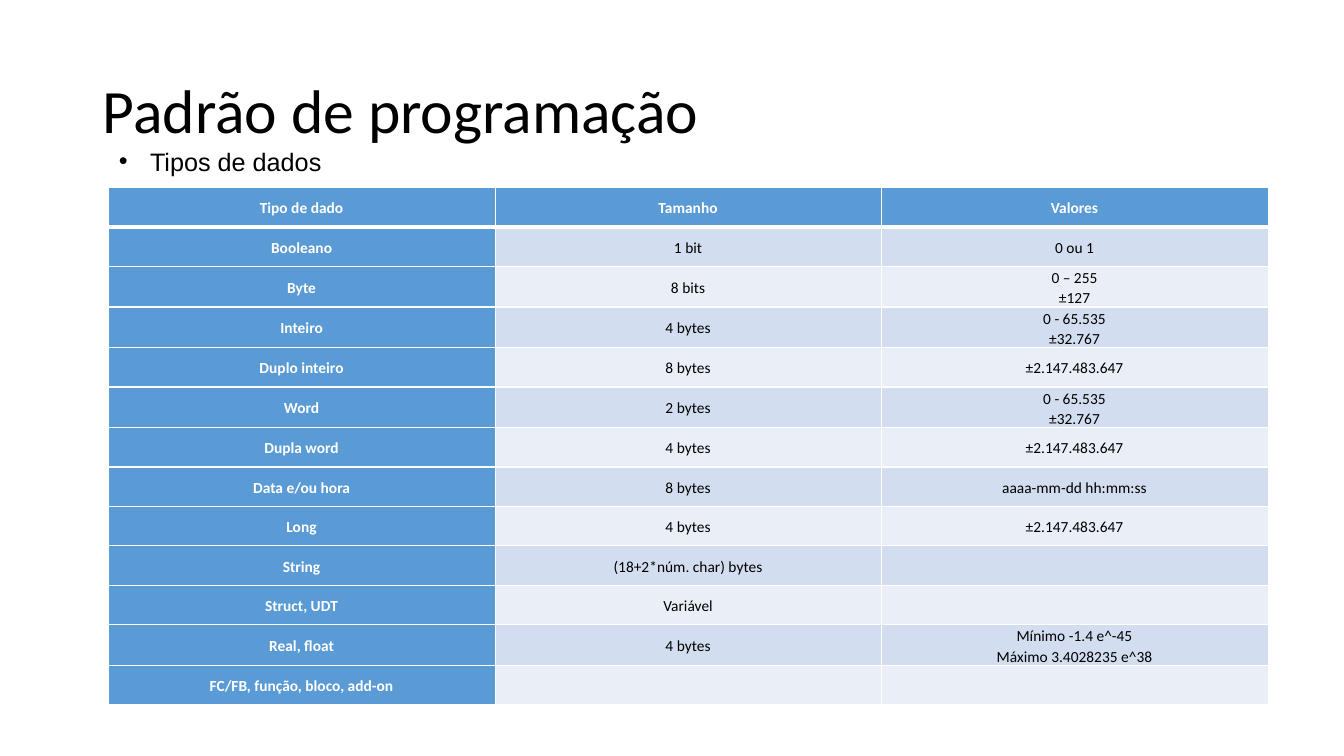
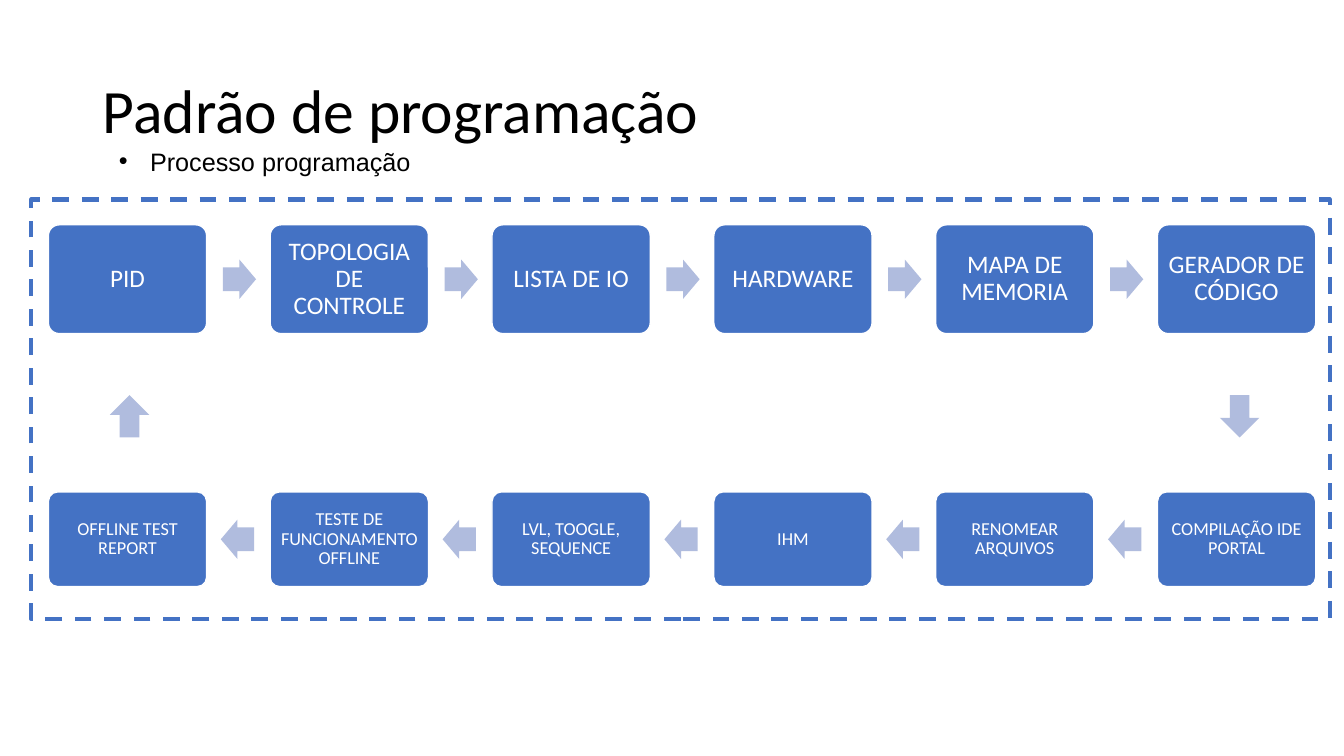
from lxml.etree import SubElement
from pptx import Presentation
from pptx.dml.color import RGBColor
from pptx.enum.dml import MSO_LINE
from pptx.enum.shapes import MSO_SHAPE as SHAPE
from pptx.enum.text import MSO_ANCHOR as ANCHOR, PP_ALIGN as ALIGN
from pptx.oxml.ns import qn
from pptx.util import Inches, Pt

COLORS = {
    "black": "000000", "white": "FFFFFF", "header": "5B9BD5",
    "band_dark": "D2DEEF", "band_light": "EAEFF7",
    "step": "4472C4", "arrow": "B0BCDE",
}
TITLE = "Padrão de programação"
TYPES_TOPIC = "Tipos de dados"
PROCESS_TOPIC = "Processo programação"
DATA_TYPES = [
    ("Tipo de dado", "Tamanho", "Valores"),
    ("Booleano", "1 bit", "0 ou 1"),
    ("Byte", "8 bits", "0 – 255\n±127"),
    ("Inteiro", "4 bytes", "0 - 65.535\n±32.767"),
    ("Duplo inteiro", "8 bytes", "±2.147.483.647"),
    ("Word", "2 bytes", "0 - 65.535\n±32.767"),
    ("Dupla word", "4 bytes", "±2.147.483.647"),
    ("Data e/ou hora", "8 bytes", "aaaa-mm-dd hh:mm:ss"),
    ("Long", "4 bytes", "±2.147.483.647"),
    ("String", "(18+2*núm. char) bytes", ""),
    ("Struct, UDT", "Variável", ""),
    ("Real, float", "4 bytes", "Mínimo -1.4 e^-45\nMáximo 3.4028235 e^38"),
    ("FC/FB, função, bloco, add-on", "", ""),
]
STEP_ROWS = [
    {"steps": ["PID", "TOPOLOGIA DE CONTROLE", "LISTA DE IO", "HARDWARE",
               "MAPA DE MEMORIA", "GERADOR DE CÓDIGO"],
     "top": 2.23, "height": 1.08, "size": 18, "inset": 0.07,
     "arrow": SHAPE.RIGHT_ARROW, "arrow_dx": 1.73},
    {"steps": ["OFFLINE TEST REPORT", "TESTE DE FUNCIONAMENTO OFFLINE",
               "LVL, TOOGLE, SEQUENCE", "IHM", "RENOMEAR ARQUIVOS",
               "COMPILAÇÃO IDE PORTAL"],
     "top": 4.88, "height": 0.94, "size": 13, "inset": 0.05,
     "arrow": SHAPE.LEFT_ARROW, "arrow_dx": 1.71},
]
TURNS = [(SHAPE.DOWN_ARROW, 12.1), (SHAPE.UP_ARROW, 1.09)]
STEP_LEFT, STEP_PITCH, STEP_WIDTH = 0.48, 2.2, 1.57
ARROW_WIDTH, ARROW_HEIGHT = 0.33, 0.39


def rgb(name):
    return RGBColor.from_string(COLORS[name])


def box(left, top, width, height):
    return [Inches(v) for v in (left, top, width, height)]


def style_text(tf, size, color, font="Calibri", align=None, spacing=None, bold=False):
    for p in tf.paragraphs:
        p.alignment = align
        p.line_spacing = spacing
        for r in p.runs:
            r.font.name, r.font.size, r.font.bold = font, Pt(size), bold
            r.font.color.rgb = rgb(color)


def set_insets(target, left, top, right, bottom):
    target.margin_left, target.margin_top = Inches(left), Inches(top)
    target.margin_right, target.margin_bottom = Inches(right), Inches(bottom)


def add_text(s, text, area):
    tf = s.shapes.add_textbox(*box(*area)).text_frame
    tf.word_wrap = True
    tf.text = text
    return tf


def add_topic_slide(prs, topic):
    s = prs.slides.add_slide(prs.slide_layouts[6])
    tf = add_text(s, TITLE, (0.92, 0.4, 6.28, 1.45))
    tf.vertical_anchor = ANCHOR.MIDDLE
    style_text(tf, 44, "black", spacing=0.9)
    tf = add_text(s, topic, (1.08, 1.4, 7.23, 0.4))
    style_text(tf, 18, "black", "Arial")
    pPr = tf.paragraphs[0]._p.get_or_add_pPr()
    pPr.set("marL", str(Inches(0.31)))
    pPr.set("indent", str(-Inches(0.31)))
    SubElement(pPr, qn("a:buFont")).set("typeface", "Arial")
    SubElement(pPr, qn("a:buChar")).set("char", "•")
    return s


def set_borders(cell, widths):
    tcPr = cell._tc.get_or_add_tcPr()
    for side, width in zip("LRTB", widths):
        ln = SubElement(tcPr, qn(f"a:ln{side}"), w=str(Pt(width)))
        fill = SubElement(ln, qn("a:solidFill"))
        SubElement(fill, qn("a:srgbClr"), val=COLORS["white"])


def add_types_table(s):
    n_rows, n_cols = len(DATA_TYPES), len(DATA_TYPES[0])
    area = box(1.08, 1.86, 11.5, 5.09)
    table = s.shapes.add_table(n_rows, n_cols, *area).table
    for i, row in enumerate(DATA_TYPES):
        for j, text in enumerate(row):
            cell = table.cell(i, j)
            heading = i == 0 or j == 0
            cell.text_frame.text = text
            cell.vertical_anchor = ANCHOR.MIDDLE
            set_insets(cell, 0.07, 0.01, 0.08, 0)
            style_text(cell.text_frame, 11, "white" if heading else "black",
                       align=ALIGN.CENTER, spacing=1.07, bold=heading)
            set_borders(cell, (1, 1, 3 if i == 1 else 1, 3 if i == 0 else 1))
            cell.fill.solid()
            band = "band_dark" if i % 2 else "band_light"
            cell.fill.fore_color.rgb = rgb("header" if heading else band)


def add_block(s, kind, area, color, adjustments=()):
    sp = s.shapes.add_shape(kind, *box(*area))
    sp.shadow.inherit = False
    sp.fill.solid()
    sp.fill.fore_color.rgb = rgb(color)
    sp.line.fill.background()
    for i, value in enumerate(adjustments):
        sp.adjustments[i] = value
    return sp


def add_step(s, text, left, row):
    area = (left, row["top"], STEP_WIDTH, row["height"])
    sp = add_block(s, SHAPE.ROUNDED_RECTANGLE, area, "step", [0.1])
    sp.line.color.rgb = rgb("white")
    sp.line.width = Pt(1)
    tf = sp.text_frame
    tf.word_wrap = True
    tf.vertical_anchor = ANCHOR.MIDDLE
    set_insets(tf, *[row["inset"]] * 4)
    tf.text = text
    style_text(tf, row["size"], "white", align=ALIGN.CENTER, spacing=0.9)


def add_process(s):
    for row in STEP_ROWS:
        arrow_top = row["top"] + (row["height"] - ARROW_HEIGHT) / 2
        for i, text in enumerate(row["steps"]):
            left = STEP_LEFT + i * STEP_PITCH
            add_step(s, text, left, row)
            if i < len(row["steps"]) - 1:
                area = (left + row["arrow_dx"], arrow_top, ARROW_WIDTH, ARROW_HEIGHT)
                add_block(s, row["arrow"], area, "arrow", [0.6, 0.5])
    for kind, left in TURNS:
        add_block(s, kind, (left, 3.92, 0.39, 0.42), "arrow")
    frame = s.shapes.add_shape(SHAPE.RECTANGLE, *box(0.31, 1.98, 12.88, 4.16))
    frame.shadow.inherit = False
    frame.fill.background()
    frame.line.color.rgb = rgb("step")
    frame.line.width = Pt(3)
    frame.line.dash_style = MSO_LINE.DASH


def main():
    prs = Presentation()
    prs.slide_width, prs.slide_height = Inches(13.33), Inches(7.5)
    add_types_table(add_topic_slide(prs, TYPES_TOPIC))
    add_process(add_topic_slide(prs, PROCESS_TOPIC))
    prs.save("out.pptx")


if __name__ == "__main__":
    main()
